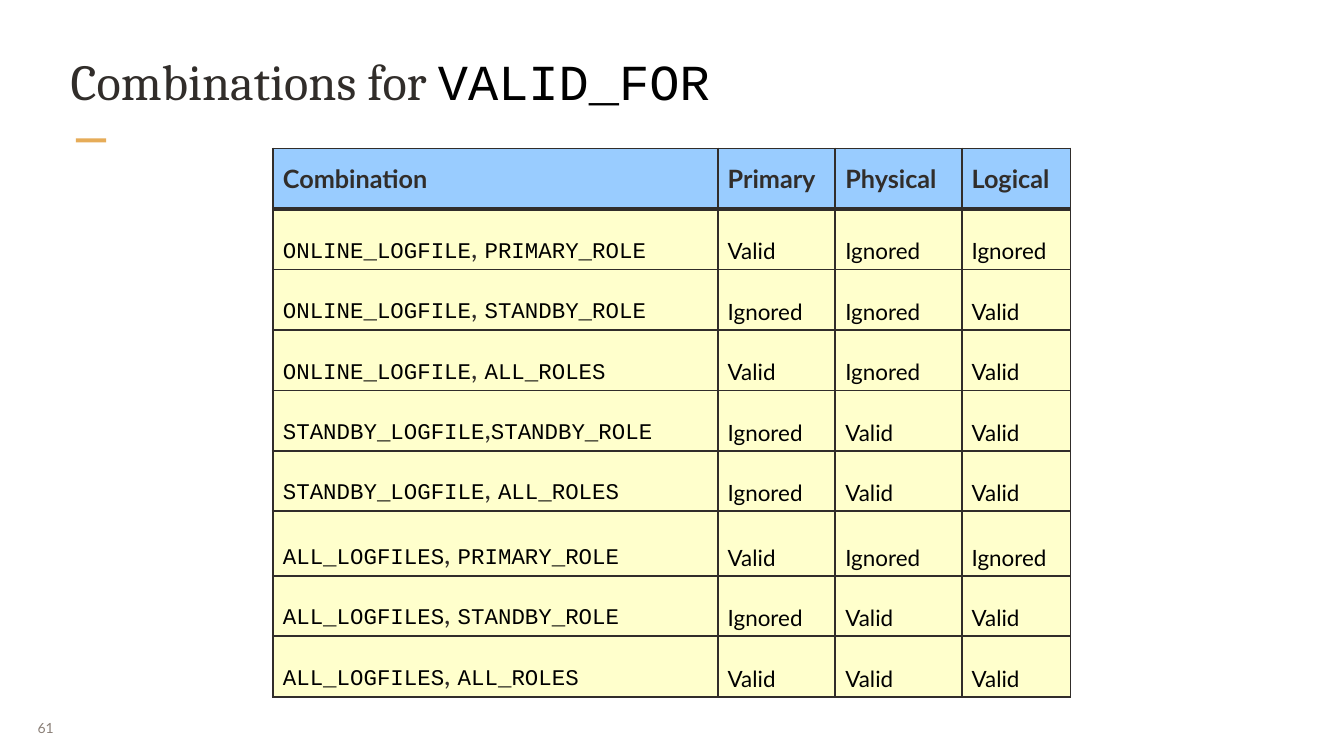
"""Build the slide on VALID_FOR combinations."""
from dataclasses import dataclass

from lxml import etree
from pptx import Presentation
from pptx.dml.color import RGBColor
from pptx.enum.shapes import MSO_SHAPE
from pptx.enum.text import MSO_ANCHOR, MSO_AUTO_SIZE, PP_ALIGN
from pptx.oxml.ns import qn
from pptx.util import Inches, Pt

RECTANGLE = MSO_SHAPE.RECTANGLE
TOP, MIDDLE, BOTTOM = MSO_ANCHOR.TOP, MSO_ANCHOR.MIDDLE, MSO_ANCHOR.BOTTOM
NO_AUTOFIT = MSO_AUTO_SIZE.NONE
LEFT = PP_ALIGN.LEFT


@dataclass(frozen=True)
class Theme:
    """Colours, fonts and sizes of the slide."""
    ink: str = "312D2A"
    code_ink: str = "000000"
    accent: str = "E6AC58"
    muted: str = "8B8078"
    header_fill: str = "99CCFF"
    body_fill: str = "FFFFCC"
    heading_font: str = "Cambria"
    code_font: str = "Courier New"
    body_font: str = "Lato"
    title_size: float = 54
    header_size: float = 27
    body_size: float = 24
    separator_size: float = 30
    number_size: float = 15
    border: float = 2.25
    header_border: float = 4.5
    line_spacing: float = 1.35


class SlideBuilder:
    """Draws styled elements on one slide."""

    def __init__(self, slide, theme):
        self.slide = slide
        self.theme = theme

    def add_pieces(self, paragraph, pieces):
        """Fill a paragraph with (text, font, size, colour, bold) pieces."""
        paragraph.alignment = LEFT
        for text, font, size, colour, bold in pieces:
            run = paragraph.add_run()
            run.text = text
            run.font.name = font
            run.font.size = Pt(size)
            run.font.bold = bold
            run.font.color.rgb = RGBColor.from_string(colour)

    def set_frame(self, frame, anchor, side, edge, wrap):
        """Set the anchor, margins and wrapping of a text frame."""
        frame.auto_size = NO_AUTOFIT
        frame.word_wrap = wrap
        frame.vertical_anchor = anchor
        frame.margin_left = frame.margin_right = Inches(side)
        frame.margin_top = frame.margin_bottom = Inches(edge)

    def title(self, text, code):
        """Place the title with its trailing code word."""
        t = self.theme
        title = self.slide.shapes.title
        title.left, title.top = Inches(1.02), Inches(0.72)
        title.width, title.height = Inches(17.96), Inches(1.28)
        self.set_frame(title.text_frame, TOP, 0.03, 0.03, True)
        self.add_pieces(title.text_frame.paragraphs[0], [
            (text, t.heading_font, t.title_size, t.ink, False),
            (code, t.code_font, t.title_size, t.code_ink, False),
        ])

    def accent_bar(self, left, top, width, height):
        """Draw the short bar below the title."""
        bar = self.slide.shapes.add_shape(
            RECTANGLE, Inches(left), Inches(top), Inches(width), Inches(height))
        bar.shadow.inherit = False
        bar.fill.solid()
        bar.fill.fore_color.rgb = RGBColor.from_string(self.theme.accent)
        bar.line.fill.background()

    def page_number(self, number, left, top, width, height):
        """Place the page number."""
        t = self.theme
        box = self.slide.shapes.add_textbox(
            Inches(left), Inches(top), Inches(width), Inches(height))
        self.set_frame(box.text_frame, MIDDLE, 0.13, 0.07, False)
        self.add_pieces(box.text_frame.paragraphs[0],
                        [(number, t.body_font, t.number_size, t.muted, False)])

    def cell_border(self, cell, side, width):
        """Rule one side of a cell."""
        line = etree.SubElement(cell._tc.get_or_add_tcPr(), qn(f"a:ln{side}"),
                                w=str(Pt(width)))
        fill = etree.SubElement(line, qn("a:solidFill"))
        etree.SubElement(fill, qn("a:srgbClr"), val=self.theme.ink)

    def cell(self, cell, pieces, row):
        """Style and fill one table cell."""
        t = self.theme
        widths = {"L": t.border, "R": t.border,
                  "T": t.header_border if row == 1 else t.border,
                  "B": t.header_border if row == 0 else t.border}
        for side, width in widths.items():
            self.cell_border(cell, side, width)
        cell.fill.solid()
        cell.fill.fore_color.rgb = RGBColor.from_string(
            t.body_fill if row else t.header_fill)
        cell.margin_left = cell.margin_right = Inches(0.15)
        cell.margin_top = cell.margin_bottom = Inches(0.07)
        cell.vertical_anchor = BOTTOM if row else TOP
        paragraph = cell.text_frame.paragraphs[0]
        paragraph.line_spacing = t.line_spacing
        self.add_pieces(paragraph, pieces)

    def combination(self, logfile, separator, role):
        """Return the pieces of a log file and role pair."""
        t = self.theme
        code = (t.code_font, t.body_size, t.code_ink, False)
        return [(logfile, *code),
                (separator, t.body_font, t.separator_size, t.ink, False),
                (role, *code)]

    def table(self, left, top, columns, heights, headers, rows):
        """Draw the table of combinations and their validity."""
        t = self.theme
        grid = self.slide.shapes.add_table(
            len(heights), len(columns), Inches(left), Inches(top),
            Inches(sum(columns)), Inches(sum(heights))).table
        grid.first_row = grid.horz_banding = False
        for column, width in zip(grid.columns, columns):
            column.width = Inches(width)
        for row, height in zip(grid.rows, heights):
            row.height = Inches(height)
        for index, header in enumerate(headers):
            self.cell(grid.cell(0, index),
                      [(header, t.body_font, t.header_size, t.ink, True)], 0)
        for number, (pair, *states) in enumerate(rows, 1):
            self.cell(grid.cell(number, 0), self.combination(*pair), number)
            for index, state in enumerate(states, 1):
                self.cell(grid.cell(number, index),
                          [(state, t.body_font, t.body_size, t.code_ink, False)],
                          number)


HEADERS = ["Combination", "Primary", "Physical", "Logical"]
ROWS = [
    (("ONLINE_LOGFILE", ", ", "PRIMARY_ROLE"), "Valid", "Ignored", "Ignored"),
    (("ONLINE_LOGFILE", ", ", "STANDBY_ROLE"), "Ignored", "Ignored", "Valid"),
    (("ONLINE_LOGFILE", ", ", "ALL_ROLES"), "Valid", "Ignored", "Valid"),
    (("STANDBY_LOGFILE", ",", "STANDBY_ROLE"), "Ignored", "Valid", "Valid"),
    (("STANDBY_LOGFILE", ", ", "ALL_ROLES"), "Ignored", "Valid", "Valid"),
    (("ALL_LOGFILES", ", ", "PRIMARY_ROLE"), "Valid", "Ignored", "Ignored"),
    (("ALL_LOGFILES", ", ", "STANDBY_ROLE"), "Ignored", "Valid", "Valid"),
    (("ALL_LOGFILES", ", ", "ALL_ROLES"), "Valid", "Valid", "Valid"),
]


def main():
    """Build and save the presentation."""
    deck = Presentation()
    deck.slide_width, deck.slide_height = Inches(20), Inches(11.25)
    title_only = deck.slide_layouts[5]
    builder = SlideBuilder(deck.slides.add_slide(title_only), Theme())
    builder.accent_bar(1.13, 2.06, 0.45, 0.06)
    builder.page_number("61", 0.43, 10.54, 0.65, 0.58)
    builder.title("Combinations for ", "VALID_FOR")
    heights = [0.9] * 6 + [0.96] + [0.9] * 2
    builder.table(4.06, 2.21, [6.62, 1.75, 1.88, 1.62], heights, HEADERS, ROWS)
    deck.save("out.pptx")


if __name__ == "__main__":
    main()
